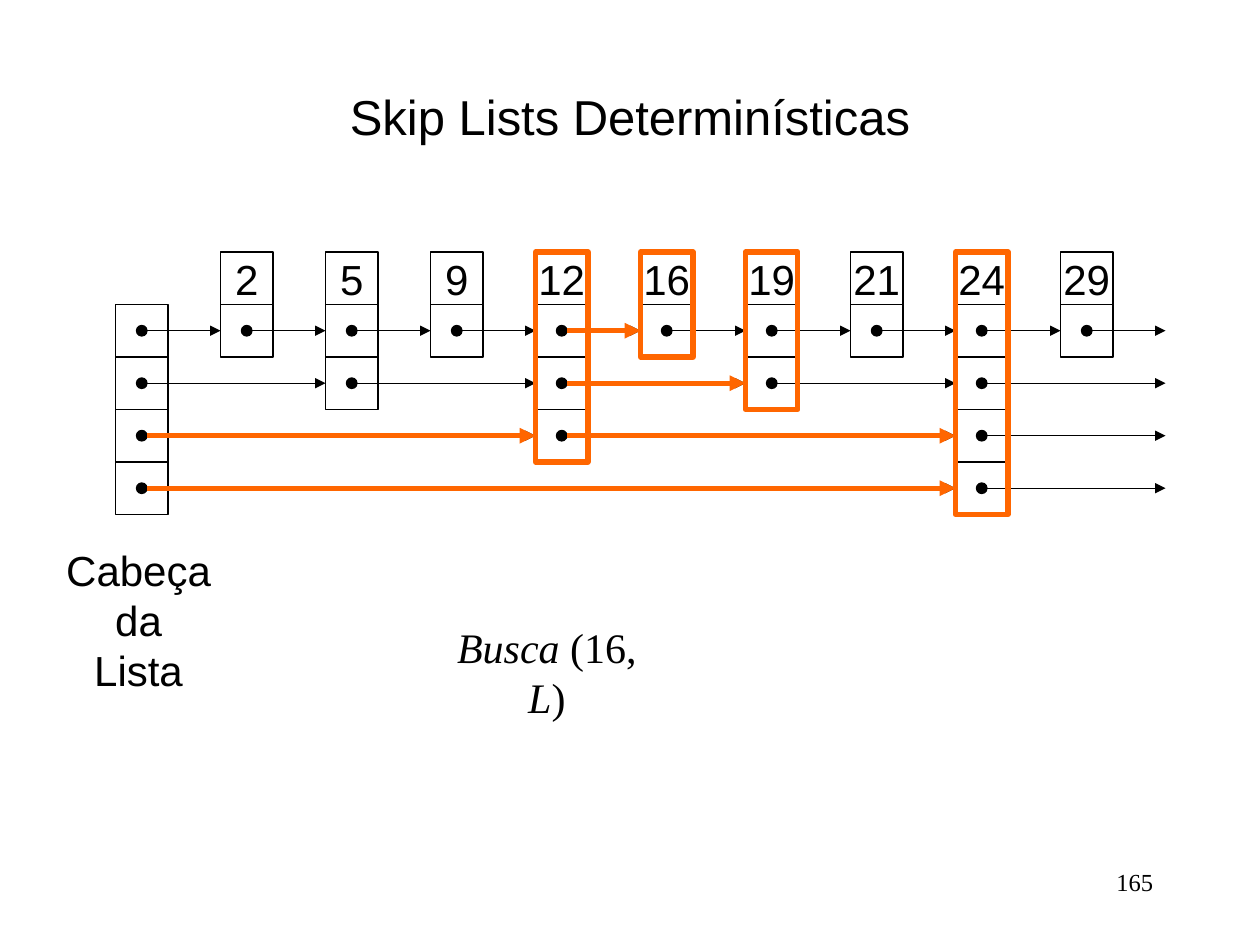
from lxml.etree import SubElement
from pptx import Presentation
from pptx.dml.color import RGBColor
from pptx.enum.shapes import MSO_CONNECTOR, MSO_SHAPE
from pptx.enum.text import MSO_ANCHOR, PP_ALIGN
from pptx.oxml.ns import qn
from pptx.util import Inches, Pt

TITLE = "Skip Lists Determinísticas"
HEAD_LABEL = "Cabeça\nda Lista"
SEARCH_CALL = [("Busca ", True), ("(16, ", False), ("L", True), (")", False)]
PAGE_NUMBER = "165"

HEAD_HEIGHT = 4
NODES = [("2", 1), ("5", 2), ("9", 1), ("12", 3), ("16", 1),
         ("19", 2), ("21", 1), ("24", 4), ("29", 1)]
SEARCH_STEPS = [(3, 0, 8), (2, 0, 4), (2, 4, 8), (1, 4, 6), (0, 4, 5)]

BLACK, ORANGE = "000000", "FF6600"
THIN, THICK = 0.75, 3
CELL = 5 / 12
DOT = CELL / 5
LEFT, TOP = 11 / 12, 2
heights = [HEAD_HEIGHT] + [height for _, height in NODES]

deck = Presentation()
deck.slide_width, deck.slide_height = Inches(10), Inches(7.5)
page = deck.slides.add_slide(deck.slide_layouts[6])


def color(value):
    return RGBColor.from_string(value)


def column_left(column):
    return LEFT + 2 * CELL * column


def level_top(level):
    return TOP + CELL * (level + 1)


def add_outline(kind, left, top, width, height, line=BLACK, weight=THIN, fill=None):
    shape = page.shapes.add_shape(kind, Inches(left), Inches(top), Inches(width), Inches(height))
    shape.shadow.inherit = False
    if fill:
        shape.fill.solid()
        shape.fill.fore_color.rgb = color(fill)
    else:
        shape.fill.background()
    shape.line.color.rgb = color(line)
    shape.line.width = Pt(weight)
    return shape


def format_text(frame, size, font="Arial", align=PP_ALIGN.CENTER):
    for para in frame.paragraphs:
        para.alignment = align
        for span in para.runs:
            span.font.size = Pt(size)
            span.font.name = font
            span.font.color.rgb = color(BLACK)


def add_text(text, left, top, width, height, wrap=False):
    box = page.shapes.add_textbox(Inches(left), Inches(top), Inches(width), Inches(height))
    box.text_frame.word_wrap = wrap
    box.text_frame.text = text
    return box.text_frame


def add_link(level, start, end, line=BLACK, weight=THIN):
    middle = Inches(level_top(level) + CELL / 2)
    begin = column_left(start) + (CELL + DOT) / 2
    link = page.shapes.add_connector(MSO_CONNECTOR.STRAIGHT, Inches(begin), middle,
                                     Inches(column_left(end)), middle)
    if (end, level) in cells:
        link.end_connect(cells[end, level], 1)
    link.line.color.rgb = color(line)
    link.line.width = Pt(weight)
    SubElement(link.line._get_or_add_ln(), qn("a:tailEnd"), type="triangle")
    SubElement(link._element.spPr, qn("a:effectLst"))


title = add_text(TITLE, 0.75, 0.67, 8.5, 0.5, wrap=True)
title.vertical_anchor = MSO_ANCHOR.MIDDLE
format_text(title, 28)

for column, (key, _) in enumerate(NODES, start=1):
    frame = add_outline(MSO_SHAPE.RECTANGLE, column_left(column), TOP, CELL, CELL).text_frame
    frame.word_wrap = False
    frame.vertical_anchor = MSO_ANCHOR.MIDDLE
    frame.text = key
    format_text(frame, 24)

cells = {}
inset = (CELL - DOT) / 2
for column, height in enumerate(heights):
    for level in range(height):
        left, top = column_left(column), level_top(level)
        cells[column, level] = add_outline(MSO_SHAPE.RECTANGLE, left, top, CELL, CELL)
        add_outline(MSO_SHAPE.OVAL, left + inset, top + inset, DOT, DOT, fill=BLACK)

for level in range(HEAD_HEIGHT):
    stops = [column for column, height in enumerate(heights) if height > level]
    for start, end in zip(stops, stops[1:] + [len(heights)]):
        add_link(level, start, end)

for level, start, end in SEARCH_STEPS:
    add_link(level, start, end, ORANGE, THICK)

for column in sorted({end for _, _, end in SEARCH_STEPS}):
    add_outline(MSO_SHAPE.RECTANGLE, column_left(column), TOP, CELL,
                CELL * (heights[column] + 1), ORANGE, THICK)

format_text(add_text(HEAD_LABEL, 0.42, 4.27, 1.36, 0.9), 24)

search = add_text("", 3.34, 4.88, 2, 0.5)
for text, italic in SEARCH_CALL:
    span = search.paragraphs[0].add_run()
    span.text = text
    span.font.italic = italic
format_text(search, 24, "Times New Roman")

number = add_text(PAGE_NUMBER, 7.17, 6.83, 2.08, 0.5, wrap=True)
format_text(number, 14, "Times New Roman", PP_ALIGN.RIGHT)

deck.save("out.pptx")
